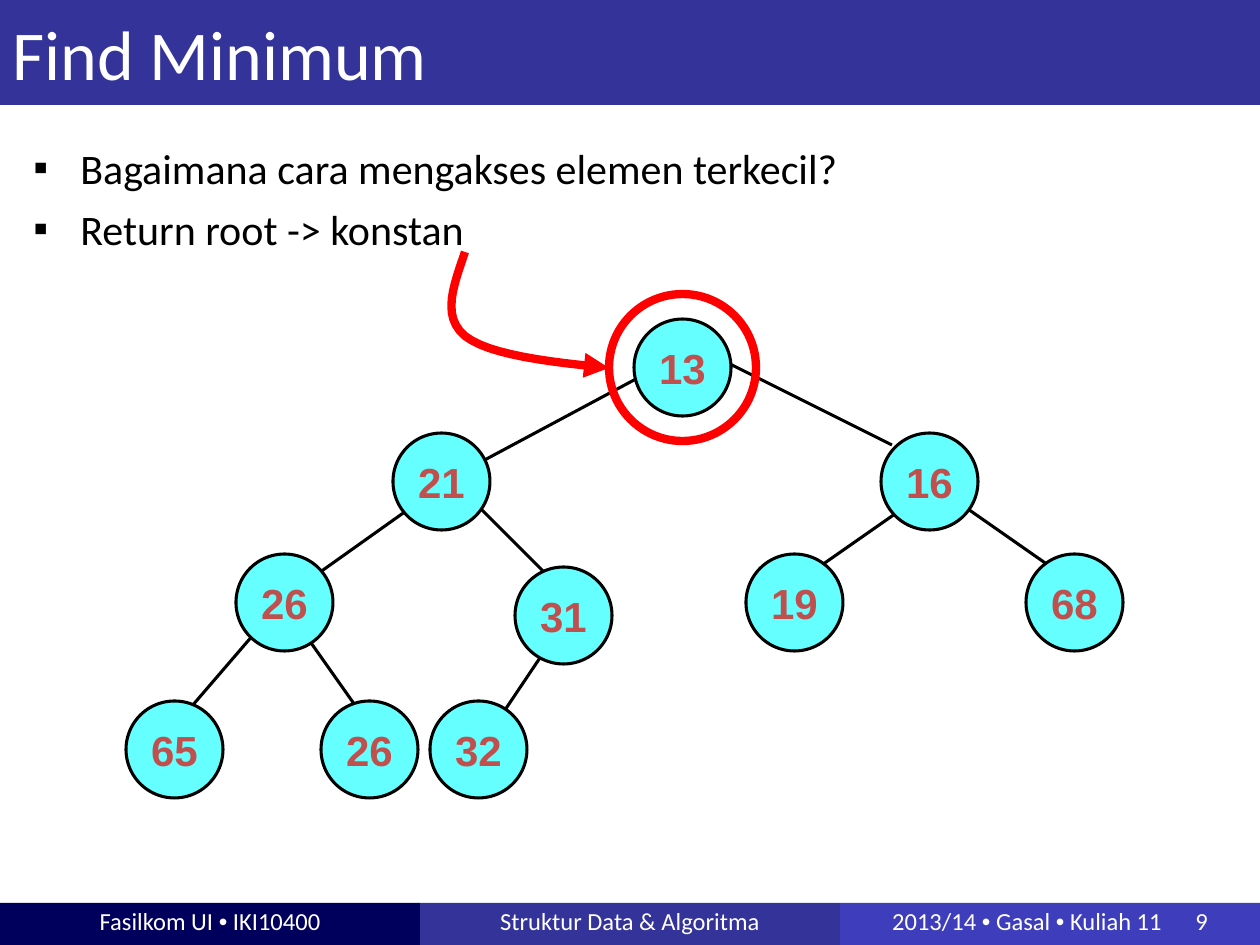
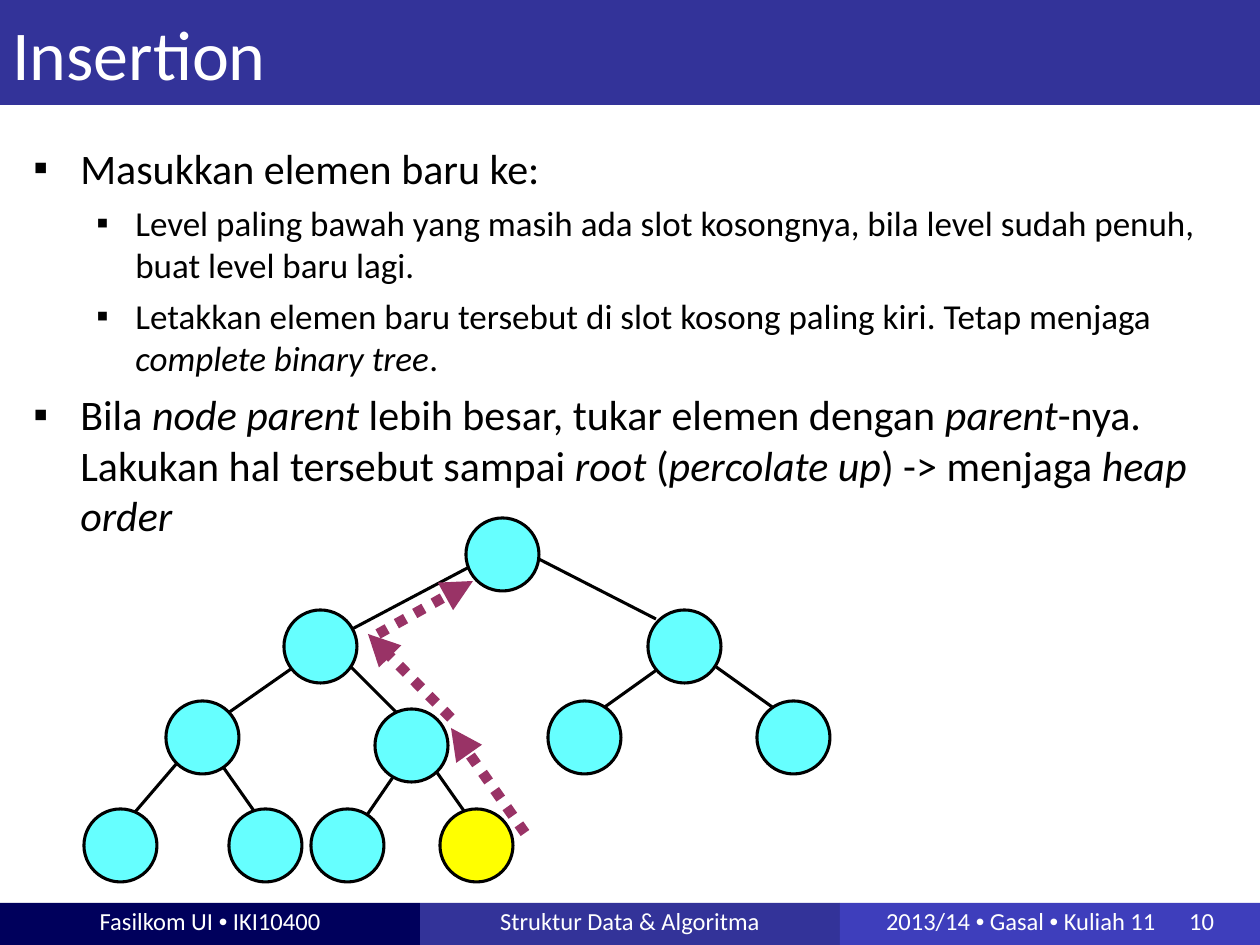
"""Build two lecture slides on finding the minimum of a binary heap and inserting into it."""
from dataclasses import dataclass

from lxml import etree
from pptx import Presentation, util as u
from pptx.dml import color
from pptx.enum import dml, shapes, text
from pptx.oxml import ns

PX = u.Inches(1) / 126
WIDTH, HEIGHT = 1260, 945


@dataclass(frozen=True)
class Theme:
    """Colours, fonts and type sizes shared by the slides."""
    navy: str = "00005C"
    indigo: str = "333399"
    violet: str = "3E3EBC"
    white: str = "FFFFFF"
    black: str = "000000"
    node: str = "66FFFF"
    new_node: str = "FFFF00"
    key: str = "C0504D"
    highlight: str = "FF0000"
    swap: str = "993366"
    font: str = "Calibri"
    symbol_font: str = "Arial"
    title_size: int = 40
    body_sizes: tuple = (24, 20)
    footer_size: int = 14
    key_size: int = 24
    thin: float = 1.75
    thick: float = 4.75
    dotted: float = 6


THEME = Theme()

MIN_NODES = [
    (634, 319, "13"), (393, 433, "21"), (881, 433, "16"), (236, 554, "26"),
    (515, 567, "31"), (746, 554, "19"), (1026, 554, "68"), (126, 701, "65"),
    (321, 701, "26"), (430, 701, "32"),
]
MIN_EDGES = [
    (722, 360, 892, 445), (965, 507, 1051, 567), (905, 507, 819, 567),
    (309, 640, 369, 725), (552, 640, 503, 713), (479, 507, 552, 580),
    (430, 494, 309, 580), (260, 627, 186, 713), (649, 372, 466, 470),
]
INSERT_NODES = [
    (466, 518, ""), (284, 610, ""), (648, 610, ""), (166, 701, ""),
    (375, 709, ""), (548, 701, ""), (757, 701, ""), (84, 809, ""),
    (229, 809, ""), (311, 809, ""),
]
INSERT_EDGES = [
    (529, 554, 656, 619), (712, 664, 775, 709), (665, 664, 602, 709),
    (221, 764, 266, 828), (402, 764, 365, 818), (348, 664, 402, 718),
    (311, 655, 221, 718), (184, 755, 130, 818), (475, 564, 339, 636),
]
NEW_EDGE = (431, 764, 476, 828)
SWAPS = [(525, 833, 451, 728), (451, 718, 368, 634), (378, 634, 473, 581)]
ROOT_CURVES = [
    [(465, 252), (454, 285), (441, 316), (465, 336)],
    [(465, 336), (489, 355), (549, 362), (609, 368)],
]


def px(value):
    """Turn pixels into EMU."""
    return u.Emu(round(value * PX))


def rgb(code):
    """Turn a hex code into a colour."""
    return color.RGBColor.from_string(code)


def add_xml(parent, tag, **attributes):
    """Append a drawing element with attributes."""
    return etree.SubElement(parent, ns.qn(tag), attributes)


def stroke(line, code, width):
    """Set the colour and width of a line."""
    line.color.rgb = rgb(code)
    line.width = u.Pt(width)


def add_arrowhead(line):
    """Put a triangle at the end of a line."""
    add_xml(line._get_or_add_ln(), "a:tailEnd", type="triangle")


def add_span(para, words, size, code, font=THEME.font, bold=False, italic=False):
    """Add one run of text."""
    span = para.add_run()
    span.text = words
    span.font.size = u.Pt(size)
    span.font.name = font
    span.font.color.rgb = rgb(code)
    span.font.bold = bold
    span.font.italic = italic
    return span


def add_form(page, kind, left, top, width, height, fill=None, outline=None,
             weight=THEME.thin):
    """Add a preset shape without a shadow."""
    form = page.shapes.add_shape(kind, px(left), px(top), px(width), px(height))
    form.shadow.inherit = False
    if fill:
        form.fill.solid()
        form.fill.fore_color.rgb = rgb(fill)
    else:
        form.fill.background()
    if outline:
        stroke(form.line, outline, weight)
    else:
        form.line.fill.background()
    return form


def add_band(page, left, top, width, height, fill, align):
    """Add a coloured band and return its paragraph."""
    band = add_form(page, shapes.MSO_SHAPE.RECTANGLE, left, top, width, height, fill)
    frame = band.text_frame
    frame.word_wrap = True
    frame.vertical_anchor = text.MSO_ANCHOR.MIDDLE
    para = frame.paragraphs[0]
    para.alignment = align
    return para


def add_footer(page, number):
    """Add the three footer bands and the slide number."""
    columns = [
        (THEME.navy, ["Fasilkom UI ", "•", " IKI10400"]),
        (THEME.indigo, ["Struktur Data & Algoritma"]),
        (THEME.violet, ["2013/14 ", "•", " Gasal ", "•", " Kuliah 11"]),
    ]
    width = WIDTH // len(columns)
    for index, (fill, parts) in enumerate(columns):
        para = add_band(page, index * width, 903, width, 42, fill,
                        text.PP_ALIGN.CENTER)
        frame = para._parent
        frame.margin_top, frame.margin_bottom = 0, px(6)
        for part in parts:
            font = THEME.symbol_font if part == "•" else THEME.font
            add_span(para, part, THEME.footer_size, THEME.white, font)
    gap = add_span(para, " ", THEME.footer_size, THEME.white)
    gap.font._element.set("spc", "1600")
    add_span(para, str(number), THEME.footer_size, THEME.white)


def add_page(deck, title, number):
    """Add a blank slide with its title band and footer."""
    page = deck.slides.add_slide(deck.slide_layouts[6])
    add_footer(page, number)
    para = add_band(page, 0, 0, WIDTH, 105, THEME.indigo, text.PP_ALIGN.LEFT)
    add_span(para, title, THEME.title_size, THEME.white)
    return page


def add_bullets(page, items):
    """Add bullets given as a level and alternating plain and italic parts."""
    box = page.shapes.add_textbox(px(21), px(136), px(1207), px(735))
    frame = box.text_frame
    frame.word_wrap = True
    for index, (level, *parts) in enumerate(items):
        para = frame.add_paragraph() if index else frame.paragraphs[0]
        para.level = level
        para.space_before = u.Pt((6, 5)[level])
        props = para._p.get_or_add_pPr()
        props.set("marL", str(px((47, 102)[level])))
        props.set("indent", str(-px((47, 39)[level])))
        add_xml(add_xml(props, "a:buClr"), "a:srgbClr", val=THEME.black)
        add_xml(props, "a:buFont", typeface=THEME.symbol_font)
        add_xml(props, "a:buChar", char="▪")
        for place, part in enumerate(parts):
            add_span(para, part, THEME.body_sizes[level], THEME.black,
                     italic=place % 2 == 1)


def add_link(page, ends, code=THEME.black, width=THEME.thin):
    """Add a straight connector."""
    link = page.shapes.add_connector(shapes.MSO_CONNECTOR.STRAIGHT, *map(px, ends))
    stroke(link.line, code, width)
    add_xml(link._element.spPr, "a:effectLst")
    return link


def add_node(page, left, top, size, key="", fill=THEME.node):
    """Add a tree node with an optional key."""
    node = add_form(page, shapes.MSO_SHAPE.OVAL, left, top, size, size, fill,
                    THEME.black)
    if key:
        frame = node.text_frame
        frame.word_wrap = False
        frame.vertical_anchor = text.MSO_ANCHOR.MIDDLE
        para = frame.paragraphs[0]
        para.alignment = text.PP_ALIGN.CENTER
        add_span(para, key, THEME.key_size, THEME.key, THEME.symbol_font, bold=True)


def add_tree(page, nodes, edges, size):
    """Add the edges of a tree and the nodes over them."""
    for edge in edges:
        add_link(page, edge)
    for left, top, key in nodes:
        add_node(page, left, top, size, key)


def curve_point(curve, t):
    """Return the point at t on a cubic curve."""
    weights = ((1 - t) ** 3, 3 * t * (1 - t) ** 2, 3 * t ** 2 * (1 - t), t ** 3)
    return tuple(px(sum(w * point[axis] for w, point in zip(weights, curve)))
                 for axis in (0, 1))


def add_curved_arrow(page, curves, steps=12):
    """Add an open curved arrow."""
    points = [curve_point(curve, step / steps)
              for curve in curves for step in range(1, steps + 1)]
    builder = page.shapes.build_freeform(*curve_point(curves[0], 0))
    builder.add_line_segments(points, close=False)
    arrow = builder.convert_to_shape()
    arrow.shadow.inherit = False
    arrow.fill.background()
    stroke(arrow.line, THEME.highlight, THEME.thick)
    add_arrowhead(arrow.line)


def add_swap(page, ends):
    """Add a dotted arrow for one swap with the parent."""
    swap = add_link(page, ends, THEME.swap, THEME.dotted)
    swap.line.dash_style = dml.MSO_LINE.ROUND_DOT
    add_arrowhead(swap.line)


def build_find_minimum(deck):
    """Build the slide on finding the minimum."""
    page = add_page(deck, "Find Minimum", 9)
    add_bullets(page, [
        (0, "Bagaimana cara mengakses elemen terkecil?"),
        (0, "Return root -> konstan"),
    ])
    add_tree(page, MIN_NODES, MIN_EDGES, 97)
    add_form(page, shapes.MSO_SHAPE.OVAL, 609, 294, 147, 147,
             outline=THEME.highlight, weight=THEME.thick)
    add_curved_arrow(page, ROOT_CURVES)


def build_insertion(deck):
    """Build the slide on insertion."""
    page = add_page(deck, "Insertion", 10)
    add_bullets(page, [
        (0, "Masukkan elemen baru ke:"),
        (1, "Level paling bawah yang masih ada slot kosongnya, bila level "
            "sudah penuh, buat level baru lagi."),
        (1, "Letakkan elemen baru tersebut di slot kosong paling kiri. "
            "Tetap menjaga ", "complete binary tree", "."),
        (0, "Bila ", "node parent", " lebih besar, tukar elemen dengan ",
         "parent", "-nya. Lakukan hal tersebut sampai ", "root", " (",
         "percolate up", ") -> menjaga ", "heap order"),
    ])
    add_link(page, NEW_EDGE)
    add_node(page, 440, 809, 73, fill=THEME.new_node)
    add_tree(page, INSERT_NODES, INSERT_EDGES, 73)
    for ends in SWAPS:
        add_swap(page, ends)


def main():
    """Build and save the deck."""
    deck = Presentation()
    deck.slide_width, deck.slide_height = px(WIDTH), px(HEIGHT)
    build_find_minimum(deck)
    build_insertion(deck)
    deck.save("out.pptx")


if __name__ == "__main__":
    main()
